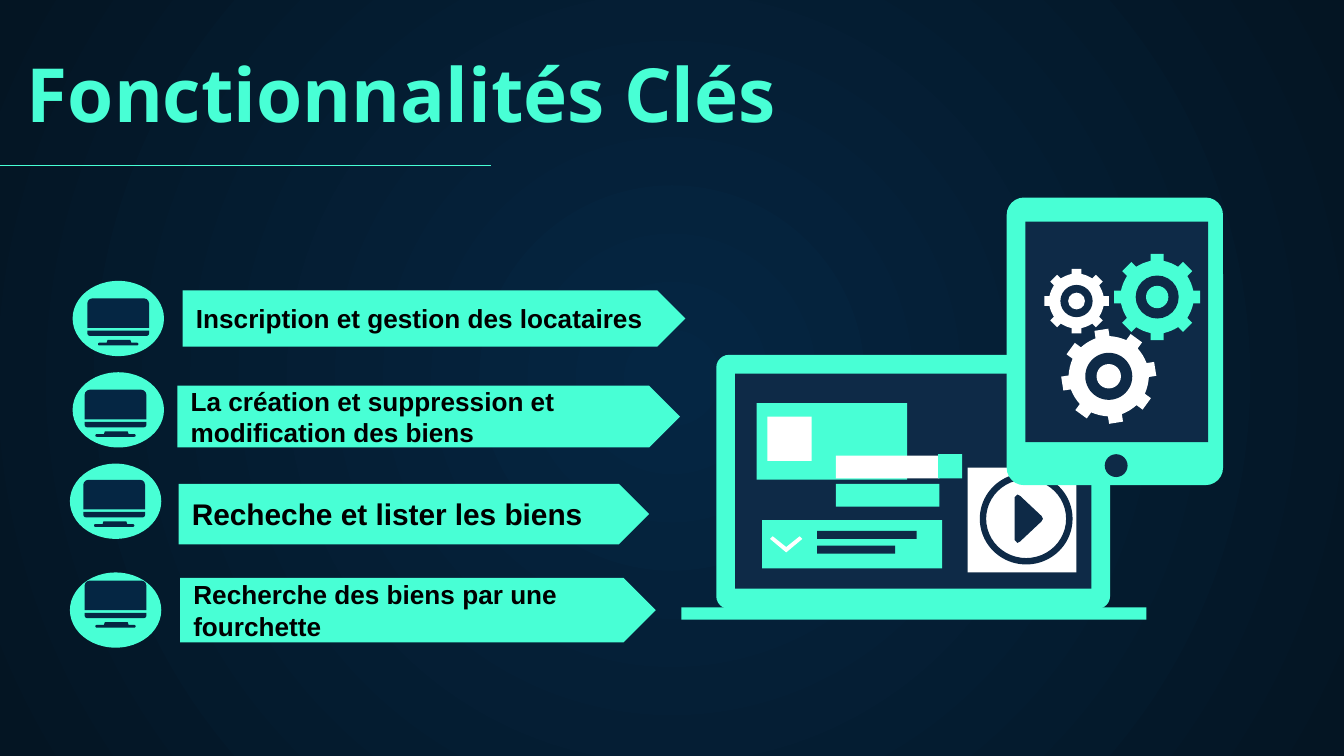
from math import cos, radians, sin

from lxml import etree
from pptx import Presentation
from pptx.dml.color import RGBColor
from pptx.enum.shapes import MSO_CONNECTOR, MSO_SHAPE
from pptx.enum.text import MSO_ANCHOR, PP_ALIGN
from pptx.oxml.ns import qn
from pptx.util import Inches, Pt

MINT, NAVY, DEEP, WHITE = "48FFD5", "0E2A47", "052643", "FFFFFF"
RECT, OVAL = MSO_SHAPE.RECTANGLE, MSO_SHAPE.OVAL
ROUND, TOP_ROUND = MSO_SHAPE.ROUNDED_RECTANGLE, MSO_SHAPE.ROUND_2_SAME_RECTANGLE

prs = Presentation()
prs.slide_width = Inches(10)
prs.slide_height = prs.slide_width * 9 // 16
s = prs.slides.add_slide(prs.slide_layouts[0])


def paint(sp, color):
    """Give the shape a flat fill, with no line and no shadow."""
    sp.shadow.inherit = False
    sp.fill.solid()
    sp.fill.fore_color.rgb = RGBColor.from_string(color)
    sp.line.fill.background()


def add_box(kind, x, y, w, h, color, *adjustments):
    sp = s.shapes.add_shape(kind, Inches(x), Inches(y), Inches(w), Inches(h))
    for i, value in enumerate(adjustments):
        sp.adjustments[i] = value
    paint(sp, color)
    return sp


# Radial background
fill = s.background.fill
fill.gradient()
for stop, color, position in zip(fill.gradient_stops, (DEEP, "041523"), (0, 1)):
    stop.color.rgb = RGBColor.from_string(color)
    stop.position = position
grad = s.element.find(".//" + qn("a:gradFill"))
grad.remove(grad.find(qn("a:lin")))
radial = etree.SubElement(grad, qn("a:path"), {"path": "circle"})
etree.SubElement(radial, qn("a:fillToRect"), {side: "50000" for side in "ltrb"})

# Title and rule
s.placeholders[1].element.getparent().remove(s.placeholders[1].element)
title = s.shapes.title
title.left, title.top = Inches(0.1), Inches(0.46)
title.width, title.height = Inches(6.09), Inches(0.66)
tf = title.text_frame
tf.text = "Fonctionnalités Clés"
tf.vertical_anchor = MSO_ANCHOR.BOTTOM
tf.margin_left = tf.margin_right = tf.margin_top = tf.margin_bottom = Inches(0.1)
p = tf.paragraphs[0]
p.alignment = PP_ALIGN.LEFT
font = p.runs[0].font
font.name, font.size, font.bold = "Noto Sans", Pt(40), True
font.color.rgb = RGBColor.from_string(MINT)

rule = s.shapes.add_connector(MSO_CONNECTOR.STRAIGHT, 0, Inches(1.23), Inches(3.65), Inches(1.23))
rule.line.color.rgb = RGBColor.from_string(MINT)
rule.line.width = Pt(0.75)
etree.SubElement(rule.element.spPr, qn("a:effectLst"))

# Feature rows: text, size, arrow box, badge corner, monitor corner
features = [
    ("Inscription et gestion des locataires", 14, (1.36, 2.16, 3.74, 0.42), (0.54, 2.09), (0.65, 2.22)),
    ("La création et suppression et modification des biens", 14, (1.32, 2.87, 3.74, 0.46), (0.54, 2.77), (0.63, 2.9)),
    ("Recheche et lister les biens", 16, (1.33, 3.6, 3.5, 0.45), (0.52, 3.45), (0.62, 3.57)),
    ("Recherche des biens par une fourchette", 14, (1.34, 4.3, 3.54, 0.48), (0.52, 4.26), (0.63, 4.32)),
]
for text, size, arrow_box, badge, (x, y) in features:
    tf = add_box(MSO_SHAPE.PENTAGON, *arrow_box, MINT, 0.5).text_frame
    tf.text = text
    tf.word_wrap = True
    tf.vertical_anchor = MSO_ANCHOR.MIDDLE
    tf.margin_left = tf.margin_right = tf.margin_top = tf.margin_bottom = Inches(0.1)
    p = tf.paragraphs[0]
    p.alignment = PP_ALIGN.LEFT
    font = p.runs[0].font
    font.name, font.size, font.bold = "Arial", Pt(size), True
    font.color.rgb = RGBColor.from_string("000000")

    add_box(OVAL, *badge, 0.68, 0.56, MINT)
    add_box(TOP_ROUND, x, y, 0.46, 0.22, DEEP, 0.17, 0)
    add_box(TOP_ROUND, x, y + 0.24, 0.46, 0.04, DEEP, 0, 0.5)
    add_box(MSO_SHAPE.TRAPEZOID, x + 0.14, y + 0.31, 0.19, 0.03, DEEP, 0.33)
    add_box(ROUND, x + 0.08, y + 0.33, 0.3, 0.02, DEEP, 0.5)

# Laptop with its windows
add_box(ROUND, 5.33, 2.64, 2.93, 1.89, MINT, 0.05)
for x, y, w, h, color in [
    (5.47, 2.78, 2.65, 1.6, NAVY),
    (5.07, 4.52, 3.46, 0.09, MINT),
    (5.63, 3, 1.12, 0.57, MINT),
    (5.71, 3.1, 0.33, 0.33, WHITE),
    (5.67, 3.87, 1.34, 0.36, MINT),
    (6.08, 3.95, 0.74, 0.06, NAVY),
    (6.08, 4.06, 0.58, 0.06, NAVY),
    (6.22, 3.6, 0.77, 0.17, MINT),
    (6.22, 3.39, 0.77, 0.17, WHITE),
    (6.98, 3.38, 0.18, 0.18, MINT),
    (7.2, 3.48, 0.81, 0.78, WHITE),
]:
    add_box(RECT, x, y, w, h, color)
add_box(MSO_SHAPE.DONUT, 7.29, 3.52, 0.69, 0.68, NAVY, 0.07)

# Tablet
add_box(ROUND, 7.49, 1.47, 1.61, 2.14, MINT, 0.08)
add_box(RECT, 7.63, 1.65, 1.36, 1.64, NAVY)
add_box(OVAL, 8.22, 3.38, 0.17, 0.17, NAVY)

# Chevron, play mark and gears; a tooth with its rim is given for radius 1
chevron = [(5.75, 3.99), (5.85, 4.07), (5.95, 3.99), (5.97, 4.01), (5.85, 4.11), (5.73, 4.01)]
play = [(7.55, 3.7), (7.57, 3.68), (7.59, 3.69), (7.75, 3.84), (7.76, 3.86),
        (7.75, 3.88), (7.59, 4.03), (7.57, 4.04), (7.55, 4.02)]
tooth = [(0.84, -0.15), (1, -0.15), (1, 0.15), (0.84, 0.15)]
tooth += [(0.85 * cos(radians(a)), 0.85 * sin(radians(a))) for a in (16, 22.5, 29)]
gears = [(8.61, 2.21, 0.32, 0, MINT), (8.01, 2.24, 0.24, 0, WHITE), (8.25, 2.8, 0.35, -9, WHITE)]

outlines = [(chevron, WHITE), (play, NAVY)]
for cx, cy, radius, tilt, color in gears:
    turns = [radians(tilt + 45 * i) for i in range(8)]
    outlines.append(([(cx + radius * (u * cos(t) - v * sin(t)), cy + radius * (u * sin(t) + v * cos(t)))
                      for t in turns for u, v in tooth], color))
for points, color in outlines:
    points = [(Inches(x), Inches(y)) for x, y in points]
    builder = s.shapes.build_freeform(*points[0])
    builder.add_line_segments(points[1:])
    paint(builder.convert_to_shape(), color)

for cx, cy, radius, tilt, color in gears:
    for share, disc_color in ((0.5, NAVY), (0.26, color)):
        r = radius * share
        add_box(OVAL, cx - r, cy - r, 2 * r, 2 * r, disc_color)

prs.save("out.pptx")
